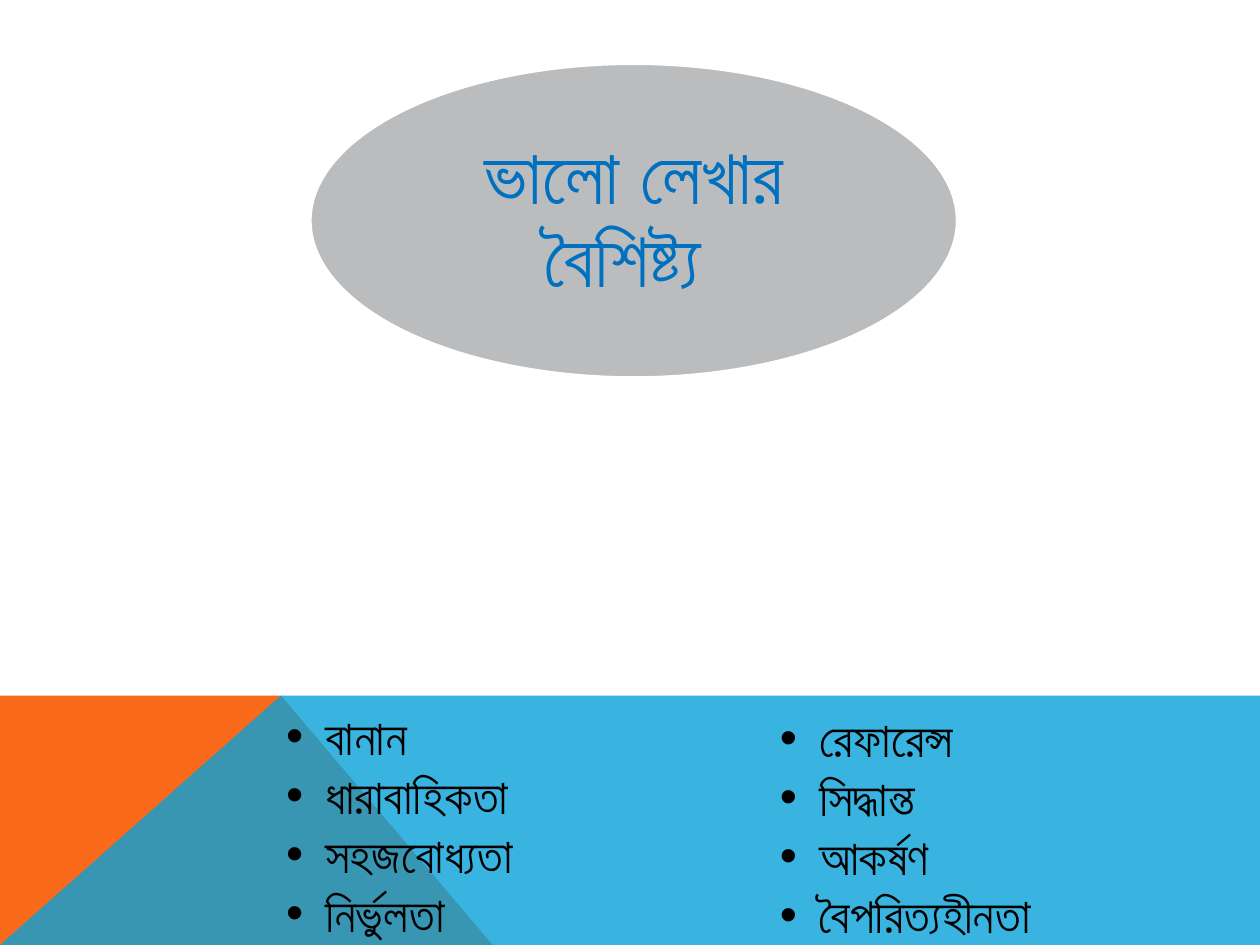
from lxml.etree import SubElement
from pptx import Presentation
from pptx.dml.color import RGBColor
from pptx.enum.shapes import MSO_SHAPE
from pptx.enum.text import MSO_ANCHOR, MSO_AUTO_SIZE, PP_ALIGN
from pptx.oxml.ns import qn
from pptx.util import Inches, Pt

HUES = {
    "orange": "F96A1B",
    "sky": "08A1D9",
    "gray": "797B7E",
    "white": "FFFFFF",
    "blue": "0070C0",
    "black": "000000",
}
WIDE, HIGH = Inches(10), Inches(7.5)
TOP, PEAK = 0.736, 0.223  # top of the band, and where its two colours meet
LEFT = ["বানান", "ধারাবাহিকতা", "সহজবোধ্যতা", "নির্ভুলতা"]
RIGHT = ["রেফারেন্স", "সিদ্ধান্ত", "আকর্ষণ", "বৈপরিত্যহীনতা"]


def write(para, text, size=28, hue="black", font="Arial", lead=1.0,
          align=PP_ALIGN.LEFT):
    """Put formatted text into a paragraph."""
    para.alignment, para.line_spacing = align, lead
    para.space_before = para.space_after = Pt(0)
    run = para.add_run()
    run.text = text
    run.font.size, run.font.name = Pt(size), font
    run.font.color.rgb = RGBColor.from_string(HUES[hue])
    SubElement(run.font._element, qn("a:cs"), typeface=font)


class Deck:
    """Holds the style and the current slide; lengths are slide shares."""

    def __init__(self):
        self.prs = Presentation()
        self.prs.slide_width, self.prs.slide_height = WIDE, HIGH
        self.slide = self.prs.slides.add_slide(self.prs.slide_layouts[3])
        self.shapes = self.slide.shapes
        self.slots = {p.placeholder_format.idx: p
                      for p in self.slide.placeholders}

    def paint(self, shape, hue, alpha=100):
        shape.shadow.inherit = False
        shape.fill.solid()
        shape.fill.fore_color.rgb = RGBColor.from_string(HUES[hue])
        tint = shape.fill._xPr.find(".//" + qn("a:srgbClr"))
        SubElement(tint, qn("a:alpha"), val=str(alpha * 1000))

    def area(self, points, hue, alpha=100):
        spots = [(int(x * WIDE), int(y * HIGH)) for x, y in points]
        pen = self.shapes.build_freeform(*spots[0])
        pen.add_line_segments(spots[1:], close=True)
        shape = pen.convert_to_shape()
        self.paint(shape, hue, alpha)
        shape.line.fill.background()

    def oval(self, x, y, w, h, hue, alpha):
        shape = self.shapes.add_shape(
            MSO_SHAPE.OVAL, int(x * WIDE), int(y * HIGH),
            int(w * WIDE), int(h * HIGH))
        self.paint(shape, hue, alpha)
        shape.line.color.rgb = RGBColor.from_string(HUES["white"])
        shape.line.width = Pt(2)

    def place(self, slot, x, y, w, h):
        """Move a placeholder and bring it to the front."""
        box = self.slots[slot]
        box.left, box.top = int(x * WIDE), int(y * HIGH)
        box.width, box.height = int(w * WIDE), int(h * HIGH)
        self.shapes._spTree.append(box._element)
        frame = box.text_frame
        frame.word_wrap, frame.auto_size = True, MSO_AUTO_SIZE.NONE
        return frame

    def title(self, text, *spot):
        frame = self.place(0, *spot)
        frame.vertical_anchor = MSO_ANCHOR.MIDDLE
        frame.margin_left = frame.margin_right = 0
        frame.margin_top = frame.margin_bottom = 0
        write(frame.paragraphs[0], text, size=44, hue="blue", lead=0.9,
              align=PP_ALIGN.CENTER)

    def bullets(self, slot, items, *spot):
        frame = self.place(slot, *spot)
        frame.vertical_anchor = MSO_ANCHOR.TOP
        for i, item in enumerate(items):
            para = frame.add_paragraph() if i else frame.paragraphs[0]
            write(para, item)
            props = para._p.get_or_add_pPr()
            props.set("marL", str(Inches(0.31)))
            props.set("indent", str(-Inches(0.31)))
            SubElement(props, qn("a:buFont"), typeface="Arial")
            SubElement(props, qn("a:buChar"), char="•")


def main():
    deck = Deck()
    # Band along the foot
    deck.area([(0, 1), (0, TOP), (PEAK, TOP), (0.391, 1)], "orange")
    deck.area([(0, 1), (PEAK, TOP), (1, TOP), (1, 1)], "sky", 80)
    # Heading in its oval
    deck.oval(0.246, 0.067, 0.514, 0.333, "gray", 50)
    deck.title("ভালো লেখার বৈশিষ্ট্য ", 0.321, 0.116, 0.364, 0.236)
    # Two lists of traits
    deck.bullets(1, LEFT, 0.217, 0.741, 0.317, 0.259)
    deck.bullets(2, RIGHT, 0.609, 0.743, 0.316, 0.257)
    deck.prs.save("out.pptx")


if __name__ == "__main__":
    main()
